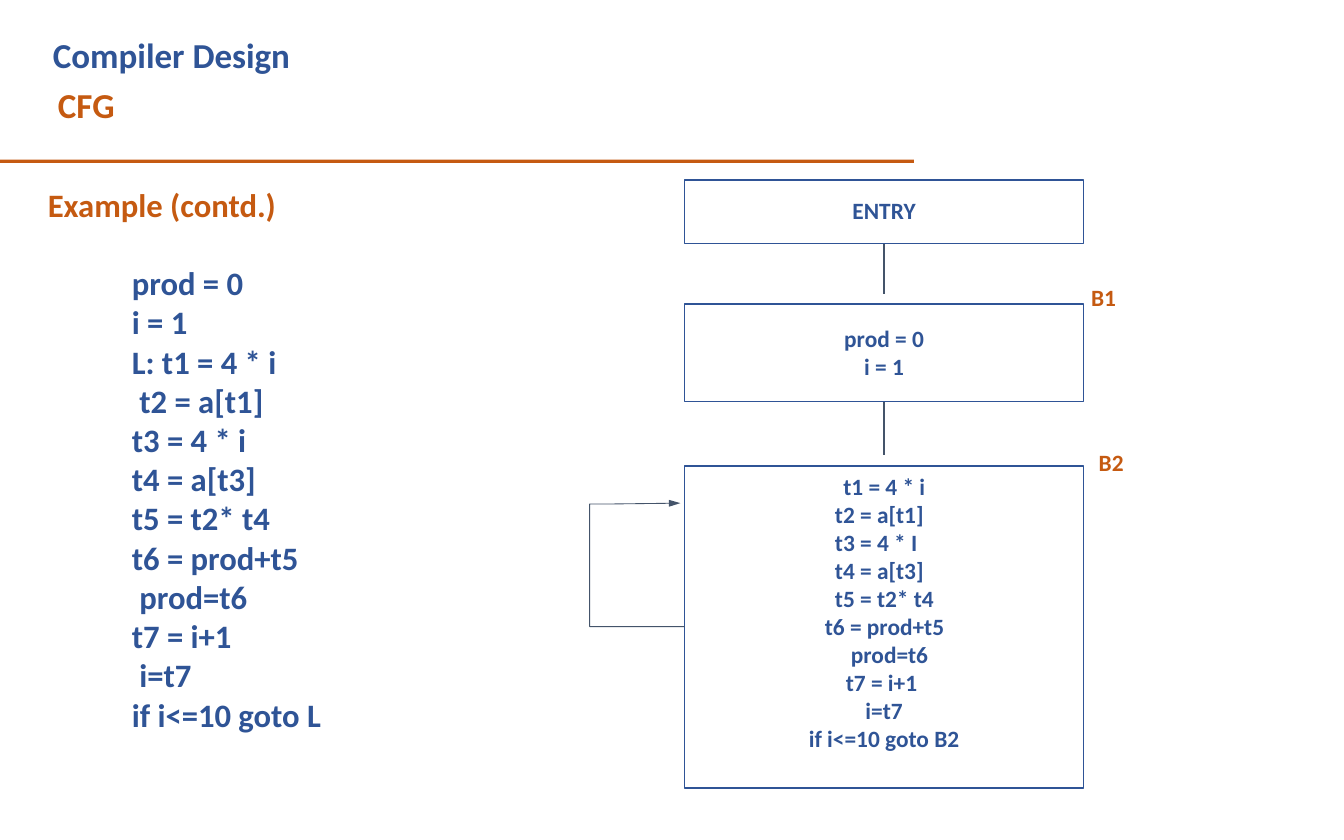
from dataclasses import dataclass

from lxml import etree
from pptx import Presentation, util as u
from pptx.dml.color import RGBColor
from pptx.enum import shapes, text
from pptx.oxml.ns import qn

LEFT, CENTER = text.PP_ALIGN.LEFT, text.PP_ALIGN.CENTER


@dataclass(frozen=True)
class Theme:
    font: str = "Calibri"
    blue: str = "2F5496"
    orange: str = "C55A11"
    slate: str = "44546A"
    title: int = 30
    body: int = 28
    node: int = 20


THEME = Theme()


@dataclass(frozen=True)
class Line:
    words: str
    indent: float = 0.01
    align: text.PP_ALIGN = LEFT
    color: str = THEME.blue


@dataclass(frozen=True)
class TextBlock:
    left: float
    top: float
    width: float
    height: float
    size: int
    lines: list[Line]


@dataclass(frozen=True)
class Node:
    top: float
    height: float
    inset: float
    lines: list[Line]


NODE_LEFT, NODE_WIDTH = 8.15, 4.75
NODE_MIDDLE = NODE_LEFT + NODE_WIDTH / 2
SPACE = 0.1  # indent of the lines set one space further in

TITLE = [Line("Compiler Design", 0.04), Line("CFG", SPACE, color=THEME.orange)]

CODE = [
    Line("prod = 0"),
    Line("i = 1"),
    Line("L: t1 = 4 * i"),
    Line("t2 = a[t1]", SPACE),
    Line("t3 = 4 * i"),
    Line("t4 = a[t3]"),
    Line("t5 = t2* t4"),
    Line("t6 = prod+t5"),
    Line("prod=t6", SPACE),
    Line("t7 = i+1"),
    Line("i=t7", SPACE),
    Line("if i<=10 goto L"),
]

TEXT_BLOCKS = [
    TextBlock(0.56, 2.19, 3, 0.49, THEME.body,
              [Line("Example (contd.)", color=THEME.orange)]),
    TextBlock(1.56, 3.12, 2.6, 5.65, THEME.body, CODE),
    TextBlock(12.98, 3.36, 0.5, 0.36, THEME.node, [Line("B1", color=THEME.orange)]),
    TextBlock(13.07, 5.33, 0.5, 0.36, THEME.node, [Line("B2", color=THEME.orange)]),
]

NODES = [
    Node(2.14, 0.76, 0.2, [Line("ENTRY", 0, CENTER)]),
    Node(3.62, 1.16, 0.24, [Line("prod = 0", 0, CENTER), Line("i = 1", 0, CENTER)]),
    Node(5.55, 3.83, 0.07, [
        Line("t1 = 4 * i", 1.89),
        Line("t2 = a[t1]", 1.79),
        Line("t3 = 4 * I", 1.79),
        Line("t4 = a[t3]", 1.79),
        Line("t5 = t2* t4", 1.79),
        Line("t6 = prod+t5", 1.67),
        Line("prod=t6", 1.98),
        Line("t7 = i+1", 1.92),
        Line("i=t7", 0, CENTER),
        Line("if i<=10 goto B2", 0, CENTER),
    ]),
]

EDGE_ENDS = [3.5, 5.42]
LOOP = [(8.15, 7.46), (7.02, 7.46), (7.02, 6), (7.28, 6), (8.1, 5.99)]


def rgb(color: str) -> RGBColor:
    return RGBColor.from_string(color)


def write(frame, lines: list[Line], size: int, inset: float = 0.01,
          spacing: float = 1.0) -> None:
    """Fill a text frame with one paragraph per line."""
    frame.word_wrap = True
    frame.auto_size = text.MSO_AUTO_SIZE.NONE
    frame.vertical_anchor = text.MSO_ANCHOR.TOP
    frame.margin_left = frame.margin_right = frame.margin_bottom = 0
    frame.margin_top = u.Inches(inset)
    for index, line in enumerate(lines):
        paragraph = frame.add_paragraph() if index else frame.paragraphs[0]
        paragraph.text = line.words
        paragraph.alignment = line.align
        paragraph.line_spacing = spacing
        paragraph.space_before = u.Pt(0)
        properties = paragraph._p.get_or_add_pPr()
        properties.set("marL", str(u.Inches(line.indent)))
        properties.set("indent", "0")
        font = paragraph.font
        font.name, font.size, font.bold = THEME.font, u.Pt(size), True
        font.color.rgb = rgb(line.color)


def set_line(shape, color: str, width: float) -> None:
    shape.line.color.rgb = rgb(color)
    shape.line.width = u.Pt(width)


def add_title(slide) -> None:
    title = slide.shapes.title
    title.left, title.top = u.Inches(0.59), u.Inches(0.31)
    title.width, title.height = u.Inches(3.2), u.Inches(1.19)
    write(title.text_frame, TITLE, THEME.title, spacing=1.17)


def add_rule(slide) -> None:
    rule = slide.shapes.add_shape(shapes.MSO_SHAPE.RECTANGLE, 0, u.Inches(1.9),
                                  u.Inches(10.88), u.Inches(0.04))
    rule.shadow.inherit = False
    rule.fill.solid()
    rule.fill.fore_color.rgb = rgb(THEME.orange)
    rule.line.fill.background()


def add_text(slide, block: TextBlock) -> None:
    box = slide.shapes.add_textbox(u.Inches(block.left), u.Inches(block.top),
                                   u.Inches(block.width), u.Inches(block.height))
    write(box.text_frame, block.lines, block.size)


def add_node(slide, node: Node):
    box = slide.shapes.add_shape(
        shapes.MSO_SHAPE.RECTANGLE, u.Inches(NODE_LEFT), u.Inches(node.top),
        u.Inches(NODE_WIDTH), u.Inches(node.height))
    box.shadow.inherit = False
    box.fill.background()
    set_line(box, THEME.blue, 1.5)
    write(box.text_frame, node.lines, THEME.node, node.inset)
    return box


def add_edge(slide, box, end: float) -> None:
    """Draw a line from the bottom of a box down to the given height."""
    middle = u.Inches(NODE_MIDDLE)
    edge = slide.shapes.add_connector(shapes.MSO_CONNECTOR.STRAIGHT, middle,
                                      box.top + box.height, middle, u.Inches(end))
    edge.begin_connect(box, 2)
    set_line(edge, THEME.slate, 1.5)
    etree.SubElement(edge._element.spPr, qn("a:effectLst"))


def add_loop(slide) -> None:
    """Draw the back edge of B2, ending in an arrowhead."""
    points = [(u.Inches(x), u.Inches(y)) for x, y in LOOP]
    builder = slide.shapes.build_freeform(*points[0])
    builder.add_line_segments(points[1:], close=False)
    loop = builder.convert_to_shape()
    loop.shadow.inherit = False
    loop.fill.background()
    set_line(loop, THEME.slate, 0.75)
    etree.SubElement(loop.line._get_or_add_ln(), qn("a:tailEnd"),
                     type="triangle", w="med", len="lg")


def main() -> None:
    presentation = Presentation()
    presentation.slide_width, presentation.slide_height = u.Inches(16), u.Inches(10)
    slide = presentation.slides.add_slide(presentation.slide_layouts[5])
    add_rule(slide)
    add_title(slide)
    for block in TEXT_BLOCKS:
        add_text(slide, block)
    boxes = [add_node(slide, node) for node in NODES]
    for box, end in zip(boxes, EDGE_ENDS):
        add_edge(slide, box, end)
    add_loop(slide)
    presentation.save("out.pptx")


if __name__ == "__main__":
    main()
